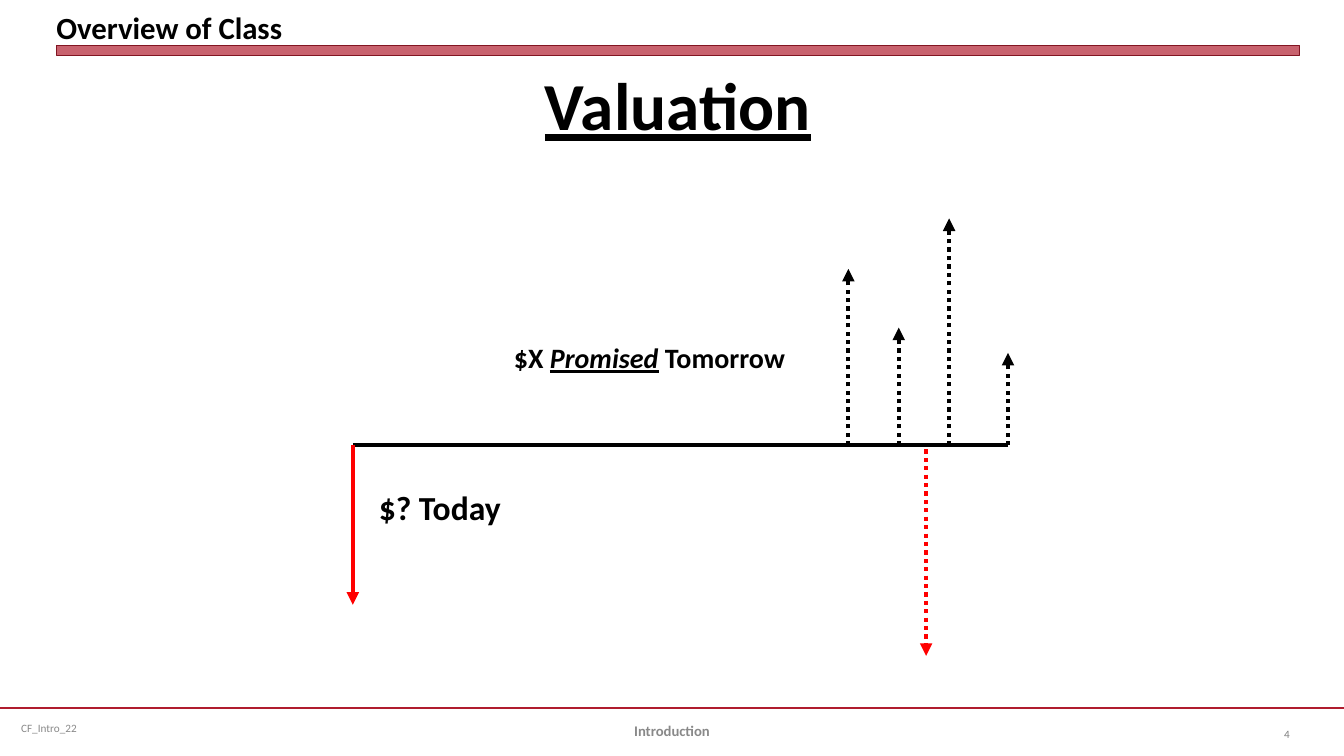
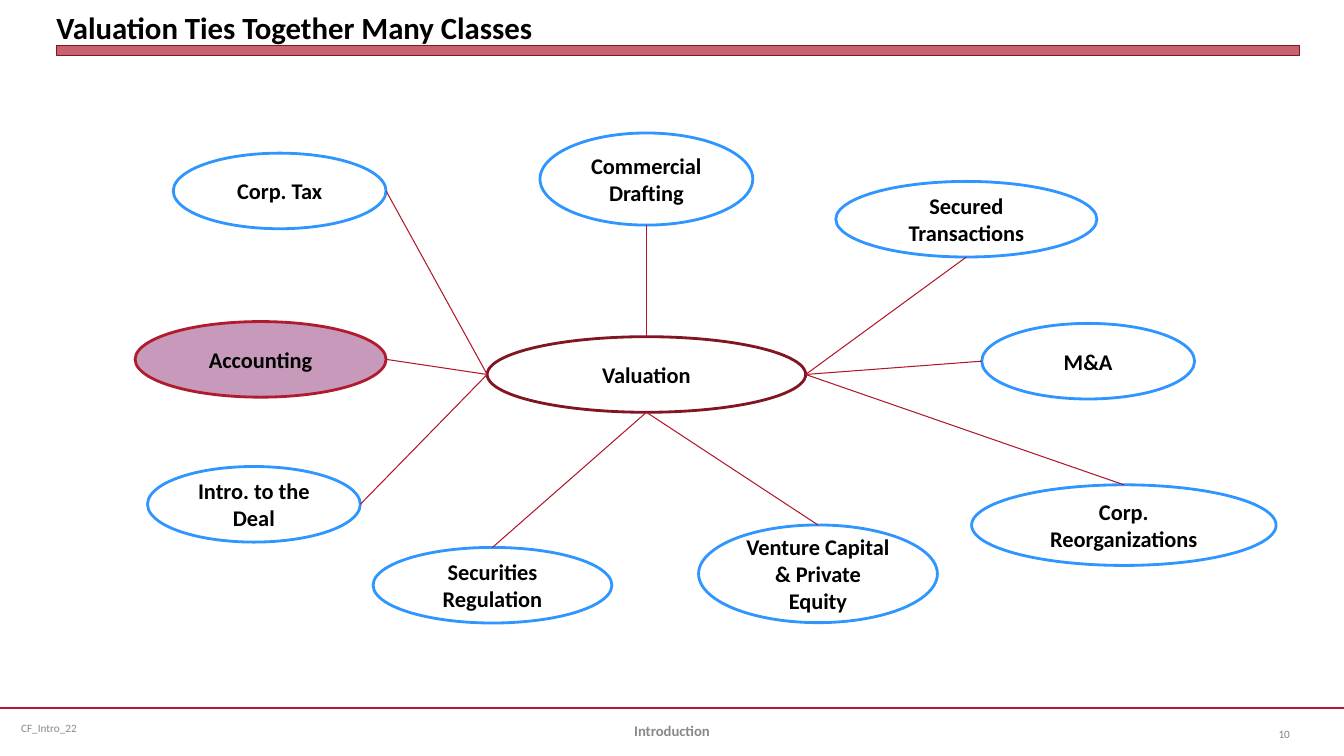
from dataclasses import dataclass

from lxml.etree import SubElement
from pptx import Presentation
from pptx.dml.color import RGBColor
from pptx.enum.dml import MSO_LINE
from pptx.enum.shapes import MSO_CONNECTOR, MSO_SHAPE
from pptx.enum.text import MSO_ANCHOR, MSO_AUTO_SIZE, PP_ALIGN
from pptx.oxml.ns import qn
from pptx.util import Pt

WIDE, HIGH = 960, 540
EDGE, SPAN = 40.3, 887.8
TOP, LEFT, BASE, RIGHT = 0, 2, 4, 6
SPOTS = {TOP: (0.5, 0), LEFT: (0, 0.5), BASE: (0.5, 1), RIGHT: (1, 0.5)}


@dataclass(frozen=True)
class Theme:
    """Colours, type sizes and font of the deck."""

    font: str = "Calibri"
    ink: str = "000000"
    gray: str = "898989"
    dim: str = "808080"
    red: str = "FF0000"
    brand: str = "B01C2E"
    dark: str = "821522"
    link: str = "B0182A"
    blue: str = "3096FF"
    mauve: str = "C799BB"
    hero: float = 48
    large: float = 24
    head: float = 22
    label: float = 20
    node: float = 16
    foot: float = 10.5
    tiny: float = 8


THEME = Theme()


def tint(code):
    """Turn a hex code into a colour."""
    return RGBColor.from_string(code)


def write(frame, text, *, size, color=THEME.ink, bold=True, under=False, mark="",
          align=PP_ALIGN.LEFT, anchor=MSO_ANCHOR.TOP, inset=(7.2, 3.6), wrap=True):
    """Fill a text frame, setting the marked word in underlined italics."""
    frame.word_wrap = wrap
    frame.auto_size = MSO_AUTO_SIZE.NONE
    frame.vertical_anchor = anchor
    frame.margin_left = frame.margin_right = Pt(inset[0])
    frame.margin_top = frame.margin_bottom = Pt(inset[1])
    for spot, row in enumerate(text.split("\n")):
        para = frame.add_paragraph() if spot else frame.paragraphs[0]
        para.alignment = align
        para.space_before = Pt(0)
        for part in filter(None, row.partition(mark) if mark else [row]):
            run = para.add_run()
            run.text = part
            font = run.font
            font.name, font.size, font.bold = THEME.font, Pt(size), bold
            font.italic = part == mark
            font.underline = under or part == mark
            font.color.rgb = tint(color)


def place(shape, left, top, width, height):
    """Move and size a shape in points."""
    shape.left, shape.top = Pt(left), Pt(top)
    shape.width, shape.height = Pt(width), Pt(height)


class Deck:
    """Slides in one style, built one at a time."""

    def __init__(self, theme):
        """Start an empty wide deck."""
        self.theme = theme
        self.show = Presentation()
        self.show.slide_width, self.show.slide_height = Pt(WIDE), Pt(HIGH)
        self.slide = None

    def start(self, layout, title, number):
        """Add a slide with its title, band and footer."""
        look = self.theme
        self.slide = self.show.slides.add_slide(self.show.slide_layouts[layout])
        self.line((0, 505.5), (WIDE, 505.5), look.brand, 1.25)
        band = self.shape(MSO_SHAPE.RECTANGLE, (EDGE, 32.2, SPAN, 7.2),
                          look.dark, 0, look.brand)
        shade = band._element.spPr.find(qn("a:solidFill"))[0]
        SubElement(shade, qn("a:alpha"), val="69000")
        head = self.slide.shapes.title
        place(head, EDGE, 3.6, SPAN, 28.8)
        write(head.text_frame, title, size=look.head, inset=(0, 0),
              anchor=MSO_ANCHOR.BOTTOM)
        mid = MSO_ANCHOR.MIDDLE
        self.text((8, 505.5, 248, 29), "CF_Intro_22", size=look.tiny,
                  color=look.gray, bold=False, anchor=mid)
        self.text((328, 507.6, 304, 29), "Introduction", size=look.foot,
                  color=look.gray, align=PP_ALIGN.CENTER, anchor=mid)
        self.text((880.5, 509.8, 48, 29), number, size=look.tiny,
                  color=look.dim, bold=False, align=PP_ALIGN.RIGHT, anchor=mid)

    def body(self, text):
        """Fill the body placeholder with a centred heading."""
        body = self.slide.placeholders[1]
        place(body, EDGE, 41.8, SPAN, 458)
        write(body.text_frame, text, size=self.theme.hero, under=True,
              align=PP_ALIGN.CENTER)
        props = body.text_frame.paragraphs[0]._p.get_or_add_pPr()
        props.set("marL", "0")
        props.set("indent", "0")
        SubElement(props, qn("a:buNone"))

    def text(self, box, text, **style):
        """Add a text box."""
        item = self.slide.shapes.add_textbox(*map(Pt, box))
        write(item.text_frame, text, **style)

    def shape(self, kind, box, edge, weight, fill=None):
        """Add an outlined shape."""
        item = self.slide.shapes.add_shape(kind, *map(Pt, box))
        item.shadow.inherit = False
        item.line.color.rgb, item.line.width = tint(edge), Pt(weight)
        if fill:
            item.fill.solid()
            item.fill.fore_color.rgb = tint(fill)
        else:
            item.fill.background()
        return item

    def oval(self, text, box, edge, fill=None):
        """Add a labelled ellipse."""
        item = self.shape(MSO_SHAPE.OVAL, box, edge, 2, fill)
        write(item.text_frame, text, size=self.theme.node,
              align=PP_ALIGN.CENTER, anchor=MSO_ANCHOR.MIDDLE)
        return item

    def line(self, start, end, color, weight, dots=False, arrow=False):
        """Add a straight line, dotted or with an arrowhead on request."""
        item = self.slide.shapes.add_connector(
            MSO_CONNECTOR.STRAIGHT, *map(Pt, (*start, *end)))
        item.line.color.rgb, item.line.width = tint(color), Pt(weight)
        if dots:
            item.line.dash_style = MSO_LINE.ROUND_DOT
        props = item._element.spPr
        if arrow:
            SubElement(props.find(qn("a:ln")), qn("a:tailEnd"), type="triangle")
        SubElement(props, qn("a:effectLst"))
        return item

    def join(self, first, side, last, face):
        """Join two ellipses at the given sides."""
        ends = []
        for item, spot in ((first, side), (last, face)):
            across, down = SPOTS[spot]
            ends.append((item.left.pt + across * item.width.pt,
                         item.top.pt + down * item.height.pt))
        link = self.line(*ends, self.theme.link, 0.75)
        props = link._element.nvCxnSpPr.cNvCxnSpPr
        for tag, item, spot in (("a:stCxn", first, side), ("a:endCxn", last, face)):
            SubElement(props, qn(tag), id=str(item.shape_id), idx=str(spot))


def flows(deck):
    """Draw the cash flow timeline."""
    look = deck.theme
    deck.start(1, "Overview of Class", "4")
    deck.body("Valuation")
    axis = 318
    deck.line((252, axis), (720, axis), look.ink, 3)
    deck.line((252, axis), (252, 432), look.red, 3, arrow=True)
    for left, tip in ((606, 192), (642, 234), (678, 156), (720, 252)):
        deck.line((left, axis), (left, tip), look.ink, 3, dots=True, arrow=True)
    deck.line((661.5, 321), (661.5, 468.5), look.red, 3, dots=True, arrow=True)
    deck.text((263.5, 344, 105, 36), "$? Today", size=look.large, wrap=False)
    deck.text((360, 240, 264, 31.5), "$X Promised Tomorrow", size=look.label,
              mark="Promised")


def links(deck):
    """Draw the map of classes around valuation."""
    look = deck.theme
    deck.start(5, "Valuation Ties Together Many Classes", "10")
    hub = deck.oval("Valuation", (348, 240.5, 227.5, 54), look.dark)
    blue = (look.blue,)
    for text, box, side, face, hues in (
        ("M&A", (701.3, 231, 152, 54), RIGHT, LEFT, blue),
        ("Corp. Reorganizations", (694, 346.3, 217.5, 57.6), RIGHT, TOP, blue),
        ("Securities Regulation", (266.5, 391, 170.6, 54), BASE, TOP, blue),
        ("Accounting", (96.5, 229.7, 179.3, 54), LEFT, RIGHT,
         (look.brand, look.mauve)),
        ("Commercial\nDrafting", (385.75, 95, 152, 65.8), TOP, BASE, blue),
        ("Corp. Tax", (123.8, 109.4, 152, 54), LEFT, RIGHT, blue),
        ("Intro. to the Deal", (105.4, 333.2, 152, 54), LEFT, RIGHT, blue),
        ("Secured Transactions", (597, 129.6, 186.5, 54), RIGHT, BASE, blue),
        ("Venture Capital & Private Equity", (499, 375, 170.6, 69.8),
         BASE, TOP, blue),
    ):
        deck.join(hub, side, deck.oval(text, box, *hues), face)


def main():
    """Build and save the deck."""
    deck = Deck(THEME)
    flows(deck)
    links(deck)
    deck.show.save("out.pptx")


if __name__ == "__main__":
    main()
